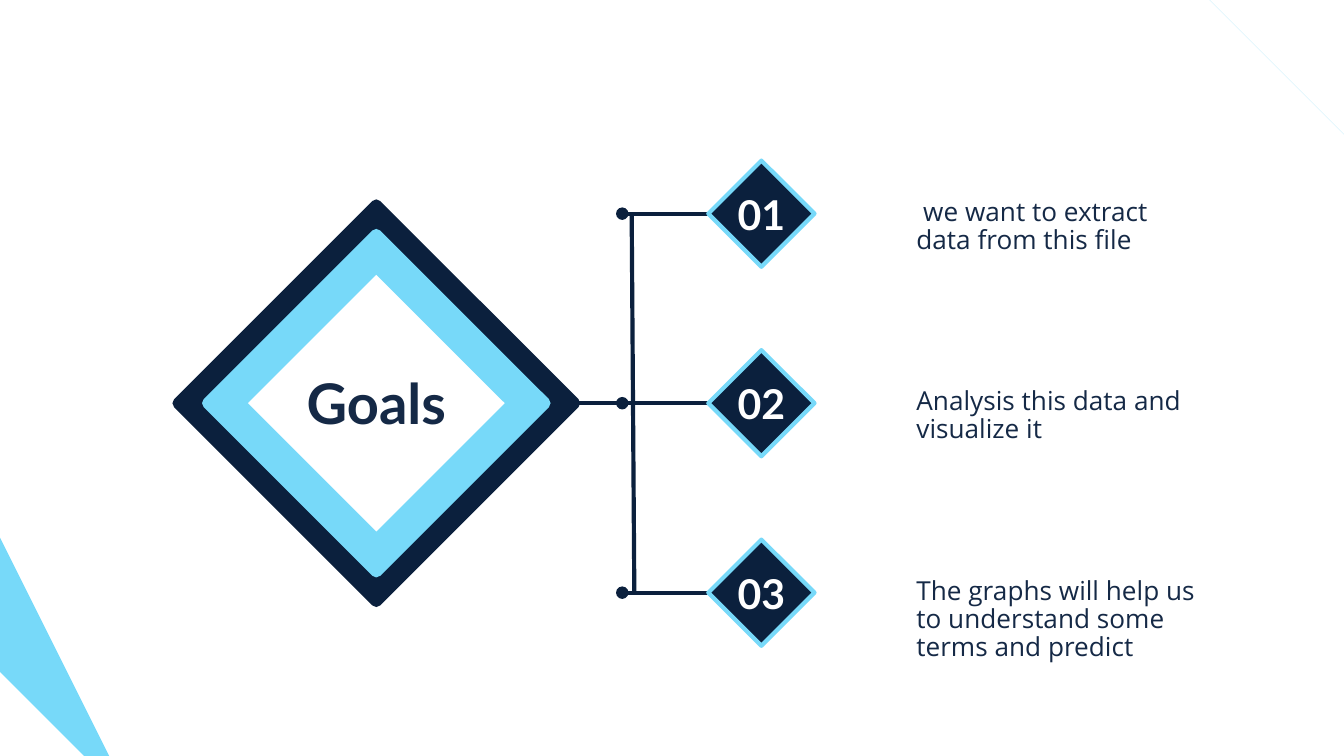
from lxml.etree import SubElement
from pptx import Presentation
from pptx.dml.color import RGBColor
from pptx.enum.shapes import MSO_CONNECTOR, MSO_SHAPE
from pptx.enum.text import MSO_ANCHOR, MSO_AUTO_SIZE, PP_ALIGN
from pptx.oxml.ns import qn
from pptx.util import Inches, Pt

COLOURS = {
    name: RGBColor.from_string(value)
    for name, value in {
        "navy": "0B203D", "sky": "77D9F9", "white": "FFFFFF", "ink": "152946",
    }.items()
}
WIDTH, HEIGHT = 10, 5.625
MIDDLE = 3          # height of the centre row
ROW = 1.41          # distance between goal rows
GOALS_X, NUMBER_X, GOAL_X = 2.8, 5.665, 6.72
NUMBER_SIZE = 0.79
TRUNK_X, DOT_X = 4.71, 4.63

prs = Presentation()
prs.slide_width, prs.slide_height = Inches(WIDTH), Inches(HEIGHT)
slide = prs.slides.add_slide(prs.slide_layouts.get_by_name("Title Only"))
shapes = slide.shapes


def add_diamond(x, y, size, fill, line=None, weight=0):
    """Add a diamond centred on (x, y), with rounded outline corners."""
    diamond = shapes.add_shape(
        MSO_SHAPE.DIAMOND, Inches(x - size / 2), Inches(y - size / 2),
        Inches(size), Inches(size))
    diamond.shadow.inherit = False
    diamond.fill.solid()
    diamond.fill.fore_color.rgb = COLOURS[fill]
    if line:
        diamond.line.color.rgb = COLOURS[line]
        diamond.line.width = Pt(weight)
        SubElement(diamond.line._get_or_add_ln(), qn("a:round"))
    else:
        diamond.line.fill.background()


def add_branch(start, end, dotted=False):
    """Add a navy line, with a dot at its end if dotted."""
    branch = shapes.add_connector(
        MSO_CONNECTOR.STRAIGHT, *(Inches(v) for v in (*start, *end)))
    branch.line.color.rgb = COLOURS["navy"]
    branch.line.width = Pt(2.25)
    if dotted:
        SubElement(branch.line._get_or_add_ln(), qn("a:tailEnd"), type="oval")
    SubElement(branch._element.spPr, qn("a:effectLst"))


# Corner bands
for corners in (
    [(8.56, 0), (9.45, 0), (WIDTH, 0.52), (WIDTH, 1.35)],
    [(0, 4.24), (0, 5.07), (0.59, HEIGHT), (1.48, HEIGHT)],
):
    # The lower band runs down the left edge first, so both outlines close cleanly
    outline = shapes.build_freeform(*corners[0], scale=Inches(1))
    outline.add_line_segments(corners[1:], close=True)
    band = outline.convert_to_shape()
    band.shadow.inherit = False
    band.fill.solid()
    band.fill.fore_color.rgb = COLOURS["sky"]
    band.line.fill.background()

# Goals diamond
add_diamond(GOALS_X, MIDDLE, 2.95, "navy", "navy", 6)
add_diamond(GOALS_X, MIDDLE, 2.51, "sky", "sky", 6)
add_diamond(GOALS_X, MIDDLE, 1.91, "white")

title = shapes.title
title.left, title.top = Inches(GOALS_X - 1.59), Inches(MIDDLE - 0.34)
title.width, title.height = Inches(3.18), Inches(0.67)
title.text_frame.text = "Goals"
title.text_frame.auto_size = MSO_AUTO_SIZE.NONE
title.text_frame.vertical_anchor = MSO_ANCHOR.MIDDLE
heading = title.text_frame.paragraphs[0]
heading.alignment = PP_ALIGN.CENTER
heading.font.name, heading.font.size, heading.font.bold = "Lato", Pt(30), True
heading.font.color.rgb = COLOURS["ink"]
shapes._spTree.append(title._element)  # in front of the diamonds

# Tree from the diamond to the numbered goals
add_branch((4.3, MIDDLE), (4.78, MIDDLE))
add_branch((TRUNK_X - 0.01, MIDDLE - ROW), (TRUNK_X + 0.01, MIDDLE + ROW))

goals = [
    " we want to extract data from this file",
    "Analysis this data and visualize it",
    "The graphs will help us to understand some terms and predict",
]
for row, goal in enumerate(goals):
    y = MIDDLE + (row - 1) * ROW
    add_branch((NUMBER_X - NUMBER_SIZE / 2, y), (DOT_X, y), dotted=True)
    add_diamond(NUMBER_X, y, NUMBER_SIZE, "navy", "sky", 2.25)

    number = shapes.add_textbox(
        Inches(NUMBER_X - 0.285), Inches(y - 0.29), Inches(0.57), Inches(0.58))
    number.text_frame.text = f"{row + 1:02}"
    number.text_frame.vertical_anchor = MSO_ANCHOR.MIDDLE
    digits = number.text_frame.paragraphs[0]
    digits.alignment = PP_ALIGN.CENTER
    digits.font.name, digits.font.size, digits.font.bold = "Lato", Pt(22), True
    digits.font.color.rgb = COLOURS["white"]

    description = shapes.add_textbox(
        Inches(GOAL_X), Inches(y - 0.21), Inches(2.45 if row == 2 else 2.22), Inches(0.74))
    description.text_frame.text = goal
    description.text_frame.word_wrap = True
    sentence = description.text_frame.paragraphs[0]
    sentence.line_spacing, sentence.space_after = 0.89, Pt(16)
    sentence.font.name, sentence.font.size = "Open Sans", Pt(14)
    sentence.font.color.rgb = COLOURS["ink"]

    for frame in (number.text_frame, description.text_frame):
        frame.margin_left = frame.margin_right = Inches(0.1)
        frame.margin_top = frame.margin_bottom = Inches(0.1)

prs.save("out.pptx")
